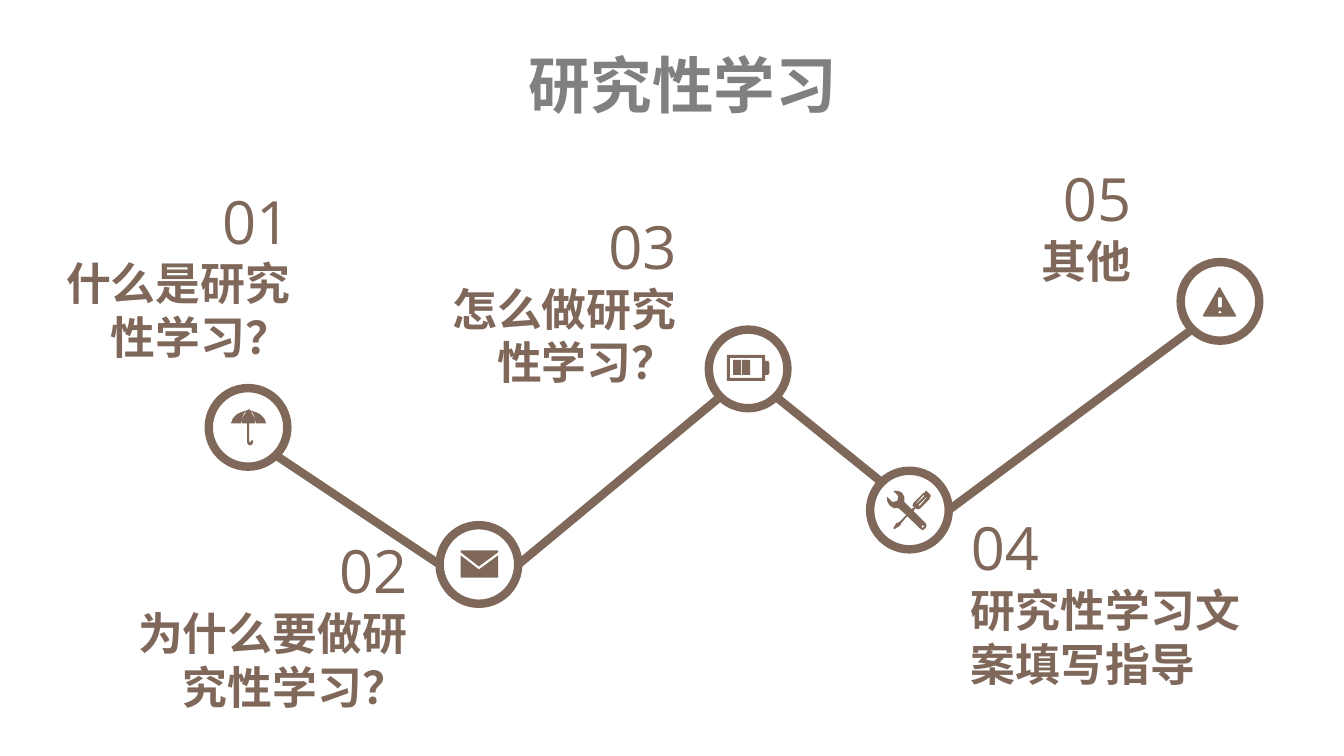
"""Build the five-stop zigzag agenda slide for inquiry-based learning."""
from dataclasses import dataclass

from lxml import etree
from pptx import Presentation
from pptx.dml.color import RGBColor
from pptx.enum.shapes import MSO_CONNECTOR, MSO_SHAPE
from pptx.enum.text import MSO_ANCHOR, MSO_AUTO_SIZE, PP_ALIGN
from pptx.oxml.ns import qn
from pptx.util import Inches, Pt

OVAL, RECT = MSO_SHAPE.OVAL, MSO_SHAPE.RECTANGLE
STRAIGHT = MSO_CONNECTOR.STRAIGHT
LEFT, CENTER, RIGHT = PP_ALIGN.LEFT, PP_ALIGN.CENTER, PP_ALIGN.RIGHT
TOP, MIDDLE = MSO_ANCHOR.TOP, MSO_ANCHOR.MIDDLE
NO_FIT = MSO_AUTO_SIZE.NONE

Point = tuple[float, float]
Contour = tuple[Point, ...]
Outline = tuple[Contour, ...]


@dataclass(frozen=True)
class Theme:
    brown: RGBColor = RGBColor(0x7F, 0x68, 0x5A)
    gray: RGBColor = RGBColor(0x80, 0x80, 0x80)
    font: str = "Open Sans"
    title: float = 44
    number: float = 42.6
    label: float = 32
    stroke: float = 6


@dataclass(frozen=True)
class Stop:
    center: Point
    entry: Point
    exit: Point
    label: str
    box: tuple[float, float, float, float]
    align: PP_ALIGN
    icon: tuple[Outline, ...]
    bars: tuple[Point, ...] = ()


THEME = Theme()
RING = 0.78
BAR_SIZE = (0.08, 0.15)
UNIT = Inches(0.01)
EAST, WEST = (0.39, 0), (-0.39, 0)
SOUTHEAST, SOUTHWEST, NORTHWEST = (0.28, 0.28), (-0.28, 0.28), (-0.28, -0.28)

UMBRELLA: tuple[Outline, ...] = (((
    (8, -4), (18, -4), (16, -9), (12, -13), (8, -15), (2, -17), (1, -18),
    (-1, -17), (-7, -15), (-11, -13), (-15, -9), (-17, -4), (-7, -4),
    (-6, -9), (-4, -14), (-1, -17), (-4, -12), (-6, -8), (-6, -4),
    (-1, -4), (-1, 15), (0, 17), (2, 18), (4, 17), (5, 15), (5, 13),
    (3, 13), (3, 14), (2, 15), (1, 14), (1, -4), (7, -4), (7, -8),
    (5, -12), (2, -17), (5, -14), (7, -9)),),)
ENVELOPE: tuple[Outline, ...] = (
    (((-18, -9), (-18, 13), (19, 13), (19, -9), (0, 5)),),
    (((19, -12), (19, -14), (-18, -14), (-18, -12), (0, 2)),))
BATTERY: tuple[Outline, ...] = ((
    ((17, -8), (17, -14), (-21, -14), (-21, 12), (17, 12), (17, 6),
     (20, 6), (21, 4), (21, -6), (20, -8)),
    ((14, 9), (-18, 9), (-18, -11), (14, -11))),)
TOOLS: tuple[Outline, ...] = ((
    ((21, -15), (17, -19), (16, -19), (15, -17), (14, -17), (4, -7),
     (3, -4), (5, -3), (2, -1), (-5, -8), (-5, -13), (-7, -17),
     (-11, -19), (-16, -19), (-11, -14), (-12, -9), (-17, -8), (-22, -13),
     (-22, -9), (-20, -5), (-16, -2), (-11, -2), (-3, 5), (-10, 12),
     (-13, 13), (-16, 18), (-15, 19), (-10, 16), (-8, 14), (-9, 14),
     (-2, 6), (10, 18), (13, 20), (16, 18), (17, 15), (16, 13), (4, 1),
     (6, -2), (7, -1), (10, -1), (20, -11), (20, -12), (21, -13)),
    ((13, 15), (15, 16), (13, 18), (12, 16)),
    ((7, -6), (7, -7), (14, -15), (15, -14)),
    ((10, -4), (9, -5), (17, -13), (17, -12))),)
WARNING: tuple[Outline, ...] = ((
    ((16, 14), (0, -14), (-1, -14), (-17, 14), (-16, 15), (16, 15)),
    ((-2, -4), (2, -4), (2, 6), (-2, 6)),
    ((0, 12), (-2, 11), (0, 9), (2, 11))),)

STOPS = (
    Stop((2.46, 4.24), WEST, SOUTHEAST, "什么是研究性学习？",
         (0.44, 1.8, 2.51, 1.86), RIGHT, UMBRELLA),
    Stop((4.75, 5.6), WEST, EAST, "为什么要做研究性学习？",
         (1.26, 5.27, 2.85, 1.86), RIGHT, ENVELOPE),
    Stop((7.42, 3.66), SOUTHWEST, SOUTHEAST, "怎么做研究性学习？",
         (4.27, 2.05, 2.51, 1.86), RIGHT, BATTERY,
         ((-0.15, -0.09), (-0.06, -0.09))),
    Stop((9.02, 5.06), NORTHWEST, EAST, "研究性学习文案填写指导",
         (9.56, 5.04, 2.9, 1.86), LEFT, TOOLS),
    Stop((12.1, 2.99), SOUTHWEST, EAST, "其他",
         (8.78, 1.58, 2.51, 1.32), RIGHT, WARNING),
)


def shift(point: Point, offset: Point) -> Point:
    return point[0] + offset[0], point[1] + offset[1]


def format_frame(tf, anchor: MSO_ANCHOR) -> None:
    tf.word_wrap = True
    tf.auto_size = NO_FIT
    tf.vertical_anchor = anchor
    tf.margin_left = tf.margin_right = Inches(0.07)
    tf.margin_top = tf.margin_bottom = Inches(0.03)


def format_paragraph(p, size: float, color: RGBColor, bold: bool,
                     align: PP_ALIGN) -> None:
    p.alignment = align
    p.font.name = THEME.font
    p.font.size = Pt(size)
    p.font.bold = bold
    p.font.color.rgb = color


def paint(shape) -> None:
    shape.shadow.inherit = False
    shape.fill.solid()
    shape.fill.fore_color.rgb = THEME.brown
    shape.line.fill.background()


def add_title(s, text: str) -> None:
    title = s.shapes.title
    title.left, title.top = Inches(0.22), Inches(0.43)
    title.width, title.height = Inches(13.11), Inches(0.81)
    tf = title.text_frame
    tf.text = text
    format_frame(tf, MIDDLE)
    format_paragraph(tf.paragraphs[0], THEME.title, THEME.gray, True, CENTER)


def add_ring(s, center: Point) -> None:
    x, y = shift(center, (-RING / 2, -RING / 2))
    ring = s.shapes.add_shape(OVAL, Inches(x), Inches(y), Inches(RING), Inches(RING))
    ring.shadow.inherit = False
    ring.fill.background()
    ring.line.color.rgb = THEME.brown
    ring.line.width = Pt(THEME.stroke)


def add_link(s, start: Stop, end: Stop) -> None:
    points = shift(start.center, start.exit) + shift(end.center, end.entry)
    link = s.shapes.add_connector(STRAIGHT, *map(Inches, points))
    link.line.color.rgb = THEME.brown
    link.line.width = Pt(THEME.stroke)
    etree.SubElement(link._element.spPr, qn("a:effectLst"))


def add_label(s, number: int, stop: Stop) -> None:
    tf = s.shapes.add_textbox(*map(Inches, stop.box)).text_frame
    format_frame(tf, TOP)
    p = tf.paragraphs[0]
    p.text = f"{number:02d}"
    format_paragraph(p, THEME.number, THEME.brown, False, stop.align)
    p = tf.add_paragraph()
    p.text = stop.label
    format_paragraph(p, THEME.label, THEME.brown, True, stop.align)


def add_icon(s, stop: Stop) -> None:
    for first, *holes in stop.icon:
        builder = s.shapes.build_freeform(*first[0], scale=UNIT)
        builder.add_line_segments(first[1:], close=True)
        for hole in holes:
            builder.move_to(*hole[0])
            builder.add_line_segments(hole[1:], close=True)
        paint(builder.convert_to_shape(*map(Inches, stop.center)))
    for offset in stop.bars:
        corner = shift(stop.center, offset)
        paint(s.shapes.add_shape(RECT, *map(Inches, corner + BAR_SIZE)))


def main() -> None:
    prs = Presentation()
    prs.slide_width, prs.slide_height = Inches(13.33), Inches(7.5)
    s = prs.slides.add_slide(prs.slide_layouts[5])
    add_title(s, "研究性学习")
    for stop in STOPS:
        add_ring(s, stop.center)
    for start, end in zip(STOPS, STOPS[1:]):
        add_link(s, start, end)
    for number, stop in enumerate(STOPS, 1):
        add_label(s, number, stop)
        add_icon(s, stop)
    prs.save("out.pptx")


if __name__ == "__main__":
    main()
